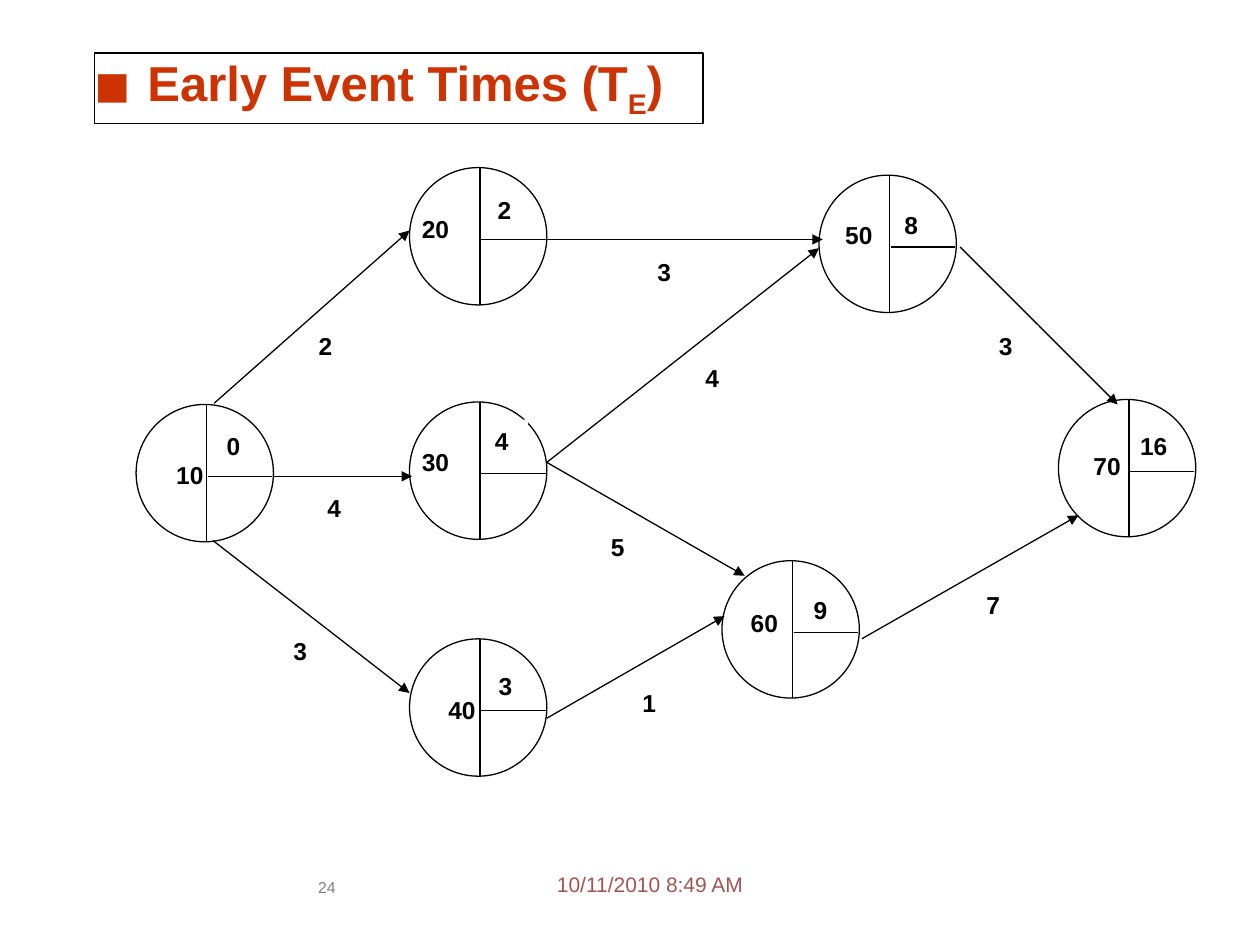
from pptx import Presentation
from pptx.dml.color import RGBColor
from pptx.enum.shapes import MSO_CONNECTOR as CONN, MSO_SHAPE as SHAPE
from pptx.enum.text import MSO_ANCHOR as ANCHOR, MSO_AUTO_SIZE as AUTO, PP_ALIGN as ALIGN
from pptx.oxml.ns import qn
from pptx.util import Inches, Pt
from lxml.etree import SubElement

BLACK = RGBColor(0, 0, 0)
WHITE = RGBColor(255, 255, 255)
RED = RGBColor(0xCC, 0x33, 0x00)
ROSE = RGBColor(0x9F, 0x55, 0x55)
GRAY = RGBColor(0x80, 0x80, 0x80)

prs = Presentation()
prs.slide_width, prs.slide_height = Inches(10), Inches(7.5)
COL, ROW = prs.slide_width / 100, prs.slide_height / 75
slide = prs.slides.add_slide(prs.slide_layouts[5])
shapes = slide.shapes


def add_line(x1, y1, x2, y2, arrow=False):
    cn = shapes.add_connector(CONN.STRAIGHT, int(x1 * COL), int(y1 * ROW), int(x2 * COL), int(y2 * ROW))
    cn.line.color.rgb = BLACK
    cn.line.width = Pt(0.75)
    if arrow:
        SubElement(cn.line._get_or_add_ln(), qn("a:tailEnd"), type="triangle")
    SubElement(cn._element.spPr, qn("a:effectLst"))


def add_text(text, x, y, w, h, size=14, color=BLACK, bold=True, align=ALIGN.JUSTIFY, inset=True):
    sp = shapes.add_textbox(int(x * COL), int(y * ROW), int(w * COL), int(h * ROW))
    tf = sp.text_frame
    tf.word_wrap = True
    if not inset:
        tf.margin_left = tf.margin_right = tf.margin_top = tf.margin_bottom = 0
    tf.text = text
    p = tf.paragraphs[0]
    p.alignment = align
    font = p.runs[0].font
    font.name, font.size, font.bold = "Arial", Pt(size), bold
    font.color.rgb = color
    return sp


add_text("10/11/2010 8:49 AM", 44.2, 69.2, 16.7, 2.5, 12, ROSE, False, ALIGN.LEFT, False)
add_text("24", 24, 69.7, 3.9, 3.4, 9, GRAY, False, ALIGN.CENTER, False)

title = shapes.title
title.left, title.top = int(7.5 * COL), int(4.2 * ROW)
title.width, title.height = int(48.3 * COL), int(5.6 * ROW)
title.fill.solid()
title.fill.fore_color.rgb = WHITE
title.line.color.rgb = BLACK
title.line.width = Pt(0.75)
tf = title.text_frame
tf.auto_size = AUTO.NONE
tf.vertical_anchor = ANCHOR.TOP
tf.margin_left = tf.margin_right = tf.margin_top = tf.margin_bottom = 0
p = tf.paragraphs[0]
p.alignment = ALIGN.LEFT
pPr = p._p.get_or_add_pPr()
pPr.set("marL", str(Inches(0.42)))
pPr.set("indent", str(Inches(-0.42)))
SubElement(SubElement(pPr, qn("a:buClr")), qn("a:srgbClr"), val=str(RED))
SubElement(pPr, qn("a:buSzPct"), val="120000")
SubElement(pPr, qn("a:buFont"), typeface="Arial")
SubElement(pPr, qn("a:buChar"), char="■")
for text, baseline in [("Early Event Times (T", 0), ("E", -25000), (")", 0)]:
    r = p.add_run()
    r.text = text
    r.font.name, r.font.size, r.font.bold = "Arial", Pt(28), True
    r.font.color.rgb = RED
    if baseline:
        r._r.get_or_add_rPr().set("baseline", str(baseline))

DIAMETER, LABEL = 10.9, 4.7
events = [
    ("20", 32.5, 13.3, 32.5, 16.5),
    ("10", 10.8, 32.1, 13, 36),
    ("30", 32.5, 31.9, 32.5, 35),
    ("50", 65, 13.9, 66.1, 17),
    ("40", 32.5, 50.7, 34.6, 54.7),
    ("60", 57.3, 44.5, 58.6, 47.8),
    ("70", 84, 31.7, 85.8, 35.3),
]
for number, x, y, label_x, label_y in events:
    sp = shapes.add_shape(SHAPE.OVAL, int(x * COL), int(y * ROW), int(DIAMETER * COL), int(DIAMETER * ROW))
    sp.shadow.inherit = False
    sp.fill.solid()
    sp.fill.fore_color.rgb = WHITE
    sp.line.color.rgb = BLACK
    sp.line.width = Pt(0.75)
    add_line(x + 5.6, y, x + 5.6, y + DIAMETER)
    add_line(x + 5.7, y + 5.7, x + 10.8, y + 5.7)
    add_text(number, label_x, label_y, LABEL, LABEL)

activities = [
    (21.7, 37.8, 32.7, 37.8),
    (17, 32, 32.5, 18.3),
    (16.9, 42.9, 32.5, 55),
    (43.4, 57, 57.5, 48.9),
    (43.4, 36.7, 65, 19.7),
    (43.4, 19, 65.3, 19),
    (43.4, 36.7, 59.1, 45.7),
    (68.4, 50.7, 85.6, 40.9),
    (76.2, 19.6, 88.7, 32.1),
]
for ends in activities:
    add_line(*ends, arrow=True)

filled_labels = [
    ("2", 24.3, 25.8, 3.2, 3.1),
    ("3", 22.3, 50, 3.5, 3.2),
    ("3", 51.2, 19.9, 3.7, 3.4),
    ("4", 25, 38.6, 3.6, 3.9),
    ("3", 78.3, 25.8, 4.1, 3.1),
    ("1", 50, 54.1, 3.3, 3.4),
    ("5", 47.5, 41.7, 4.4, 3.4),
    ("4", 55, 28.3, 3.7, 3.4),
    ("7", 77.3, 46.3, 4.4, 3.7),
    ("2", 38.5, 15, 3.2, 3.1),
    ("4", 38.3, 33.3, 3.6, 3.9),
]
for label in filled_labels:
    sp = add_text(*label)
    sp.fill.solid()
    sp.fill.fore_color.rgb = WHITE

early_times = [("0", 17, 33.7), ("3", 38.6, 52.8), ("9", 63.6, 46.7), ("16", 89.5, 33.7), ("8", 70.8, 16.2)]
for time, x, y in early_times:
    add_text(time, x, y, LABEL, LABEL)

prs.save("out.pptx")
